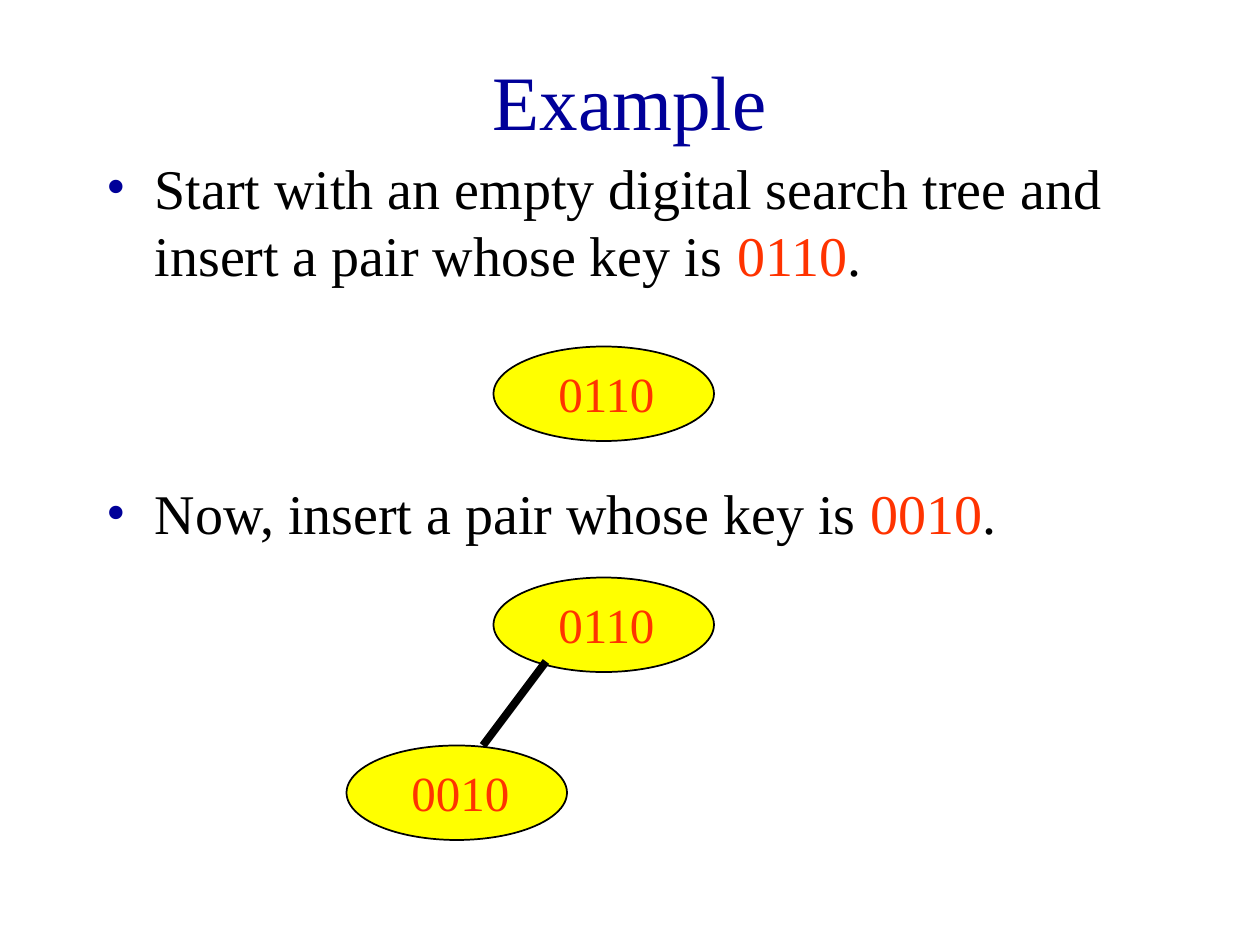
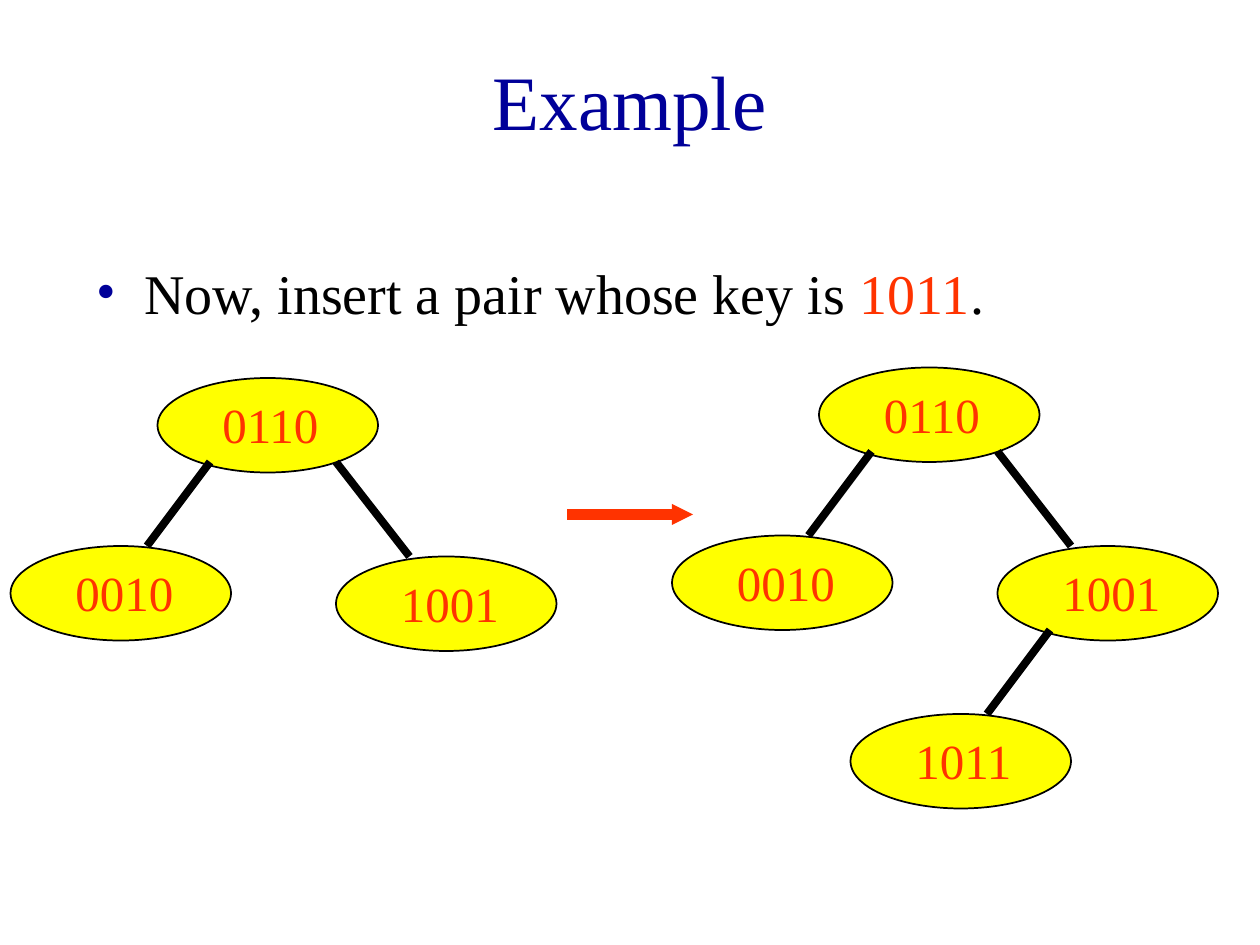
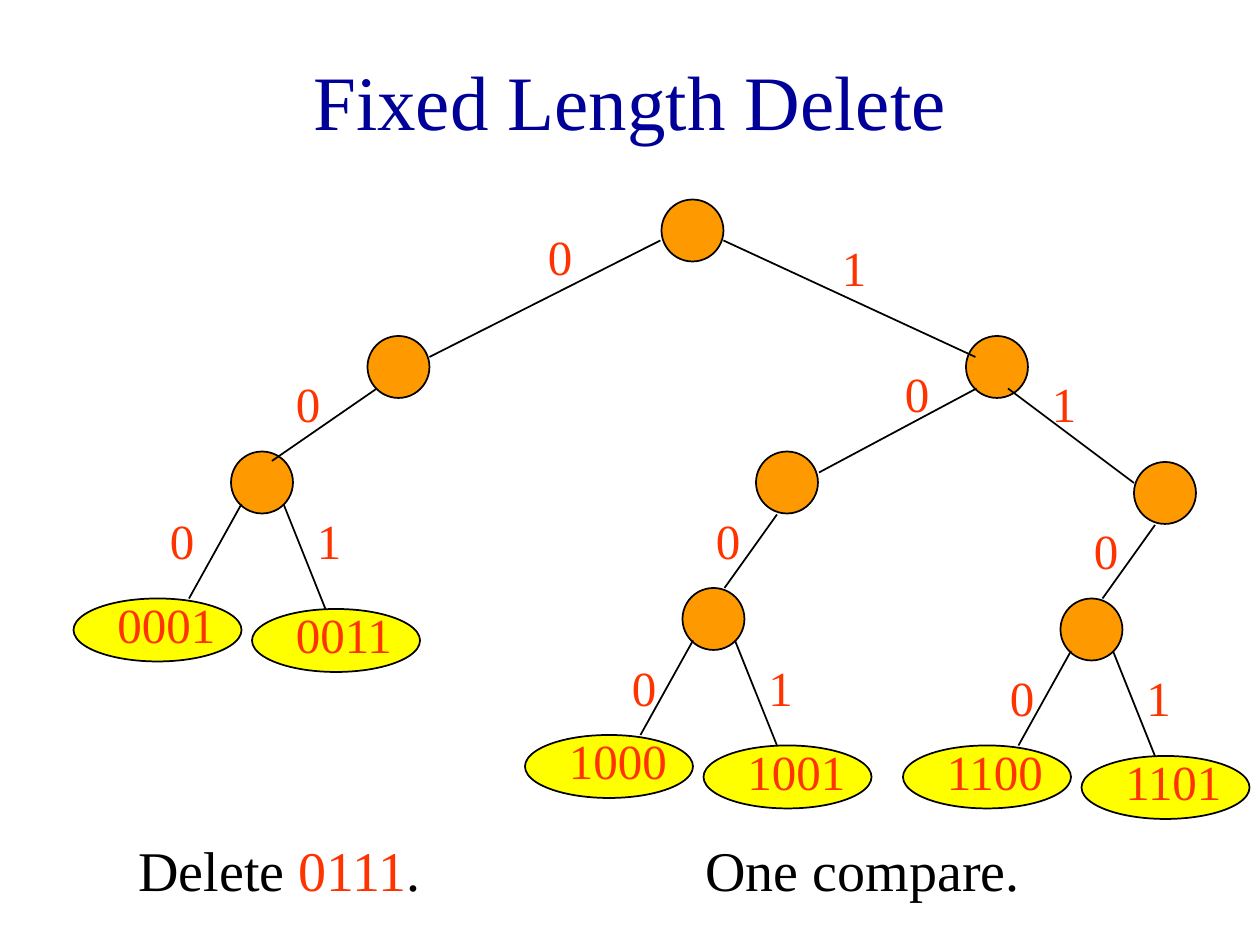
from lxml import etree
from pptx import Presentation
from pptx import util as u
from pptx.dml.color import RGBColor
from pptx.enum import shapes, text
from pptx.oxml.ns import qn

COLORS = {"title": "000099", "body": "000000", "key": "FF3300", "leaf": "FFFF00",
          "branch": "FF9900", "line": "000000", "paper": "FFFFFF"}
FONT = "Times New Roman"
COLUMNS = 120
CELL = u.Inches(10) // COLUMNS
INDENT = u.Inches(0.38)

TITLE_FRAME = (9, 2, 102, 15)
NODE_SIZE = (21, 9)
NODE_LABEL = (5, 1)
LEAF_SIZE = (16, 6)
LEAF_LABEL = (3, -1)
KEY_SIZE = (14, 6.84)
BIT_SIZE = (6, 6.84)
DISC_SIZE = (5.9, 5.9)
CAPTION_SIZE = (39, 7.68)

CHILD_STEPS = [
    {"start": (5, 8), "end": (-1, 16), "child": (-14, 16)},
    {"start": (17, 8), "end": (24, 17), "child": (17, 17)},
]

EXAMPLES = [
    {
        "title": "Example",
        "bullets": [
            ((9, 14, 102, 15),
             "Start with an empty digital search tree and insert a pair whose key is ", "0110"),
            ((9, 45, 102, 9), "Now, insert a pair whose key is ", "0010"),
        ],
        "trees": [((47, 33), ("0110",)), ((47, 55), ("0110", ("0010",)))],
        "arrows": [],
    },
    {
        "title": "Example",
        "bullets": [((8, 24, 102, 9), "Now, insert a pair whose key is ", "1011")],
        "trees": [
            ((15, 36), ("0110", ("0010",), ("1001",))),
            ((78, 35), ("0110", ("0010",), ("1001", ("1011",)))),
        ],
        "arrows": [((54, 49), (66, 49))],
    },
]

DELETE_TITLE = "Fixed Length Delete"
DELETE_CAPTIONS = [
    ((12, 79), [("Delete ", "body"), ("0111", "key"), (".", "body")]),
    ((66, 79), [("One compare.", "body")]),
]
UPPER_DISCS = [(63, 19), (35, 32), (92, 32), (72, 43), (108, 44)]
UPPER_EDGES = [
    ((62.9, 22.9), (40.9, 34), "0", (51, 21)),
    ((68.9, 22.9), (92.9, 34), "1", (79, 22)),
    ((35.9, 37), (25.9, 43.9), "0", (27, 35)),
    ((93, 37), (78, 45), "0", (85, 34)),
    ((96, 37), (108, 46), "1", (99, 35)),
]
DESCENT = ((2, 6), (-3, 13), "0", (-5, 5))
DESCENT_TOPS = [(72, 43), (108, 44)]
FORKS = [
    {"disc": (22, 43), "leaves": ("0001", "0011"), "bits": ((-7, 5), (7, 5))},
    {"disc": (65, 56), "leaves": ("1000", "1001"), "bits": ((-6, 6), (7, 6))},
    {"disc": (101, 57), "leaves": ("1100", "1101"), "bits": ((-6, 6), (7, 6))},
]
FORK_STEPS = [
    {"start": (1, 5), "end": (-4, 14), "leaf": (-15, 14)},
    {"start": (5, 5), "end": (9, 15), "leaf": (2, 15)},
]


def rgb(name):
    return RGBColor.from_string(COLORS[name])


def grid(*values):
    return [u.Emu(round(value * CELL)) for value in values]


def shift(point, step):
    return point[0] + step[0], point[1] + step[1]


def write(page, frame, spans, size, fill=None, bullet=False, **formats):
    box = page.shapes.add_textbox(*grid(*frame))
    box.text_frame.word_wrap = True
    if fill:
        box.fill.solid()
        box.fill.fore_color.rgb = rgb(fill)
    para = box.text_frame.paragraphs[0]
    if bullet:
        add_bullet(para)
    if "anchor" in formats:
        box.text_frame.vertical_anchor = formats.pop("anchor")
    for name, value in formats.items():
        setattr(para, name, value)
    for words, color in spans:
        span = para.add_run()
        span.text = words
        for name, value in {"name": FONT, "size": u.Pt(size)}.items():
            setattr(span.font, name, value)
        span.font.color.rgb = rgb(color)


def add_bullet(para):
    properties = para._p.get_or_add_pPr()
    properties.set("marL", str(INDENT))
    properties.set("indent", str(-INDENT))
    color = etree.SubElement(properties, qn("a:buClr"))
    etree.SubElement(color, qn("a:srgbClr"), val=COLORS["title"])
    etree.SubElement(properties, qn("a:buFont"), typeface=FONT)
    etree.SubElement(properties, qn("a:buChar"), char="•")


def draw_ellipse(page, corner, size, fill):
    ellipse = page.shapes.add_shape(shapes.MSO_SHAPE.OVAL, *grid(*corner, *size))
    ellipse.shadow.inherit = False
    ellipse.fill.solid()
    ellipse.fill.fore_color.rgb = rgb(fill)
    ellipse.line.color.rgb = rgb("line")
    ellipse.line.width = u.Pt(1)


def draw_line(page, start, end, width, color="line", arrow=False):
    line = page.shapes.add_connector(shapes.MSO_CONNECTOR.STRAIGHT, *grid(*start, *end))
    line.line.color.rgb = rgb(color)
    line.line.width = u.Pt(width)
    if arrow:
        etree.SubElement(line.line._get_or_add_ln(), qn("a:tailEnd"),
                         type="triangle", w="sm", len="sm")
    etree.SubElement(line._element.spPr, qn("a:effectLst"))


def draw_key(page, corner, key, size, label_step):
    draw_ellipse(page, corner, size, "leaf")
    write(page, (*shift(corner, label_step), *KEY_SIZE), [(key, "key")], 28)


def draw_edge(page, start, end, bit, label):
    draw_line(page, start, end, 1)
    write(page, (*label, *BIT_SIZE), [(bit, "key")], 28)


def draw_tree(page, corner, tree):
    key, *children = tree
    draw_key(page, corner, key, NODE_SIZE, NODE_LABEL)
    for child, step in zip(children, CHILD_STEPS):
        draw_tree(page, shift(corner, step["child"]), child)
        draw_line(page, shift(corner, step["start"]), shift(corner, step["end"]), 4.5)


def add_page(deck, title):
    page = deck.slides.add_slide(deck.slide_layouts[6])
    write(page, TITLE_FRAME, [(title, "title")], 44,
          anchor=text.MSO_ANCHOR.MIDDLE, alignment=text.PP_ALIGN.CENTER)
    return page


def add_example(deck, example):
    page = add_page(deck, example["title"])
    for frame, words, key in example["bullets"]:
        write(page, frame, [(words, "body"), (key, "key"), (".", "body")], 32, bullet=True)
    for corner, tree in example["trees"]:
        draw_tree(page, corner, tree)
    for start, end in example["arrows"]:
        draw_line(page, start, end, 6, "key", arrow=True)


def add_delete(deck):
    page = add_page(deck, DELETE_TITLE)
    for corner, spans in DELETE_CAPTIONS:
        write(page, (*corner, *CAPTION_SIZE), spans, 32, fill="paper")
    for corner in UPPER_DISCS + [fork["disc"] for fork in FORKS]:
        draw_ellipse(page, corner, DISC_SIZE, "branch")
    for edge in UPPER_EDGES:
        draw_edge(page, *edge)
    start, end, bit, label = DESCENT
    for top in DESCENT_TOPS:
        draw_edge(page, shift(top, start), shift(top, end), bit, shift(top, label))
    for fork in FORKS:
        disc = fork["disc"]
        branches = zip(fork["leaves"], fork["bits"], FORK_STEPS)
        for bit, (key, label, step) in enumerate(branches):
            draw_key(page, shift(disc, step["leaf"]), key, LEAF_SIZE, LEAF_LABEL)
            draw_edge(page, shift(disc, step["start"]), shift(disc, step["end"]),
                      str(bit), shift(disc, label))


def main():
    deck = Presentation()
    deck.slide_width, deck.slide_height = u.Inches(10), u.Inches(7.5)
    for example in EXAMPLES:
        add_example(deck, example)
    add_delete(deck)
    deck.save("out.pptx")


if __name__ == "__main__":
    main()
